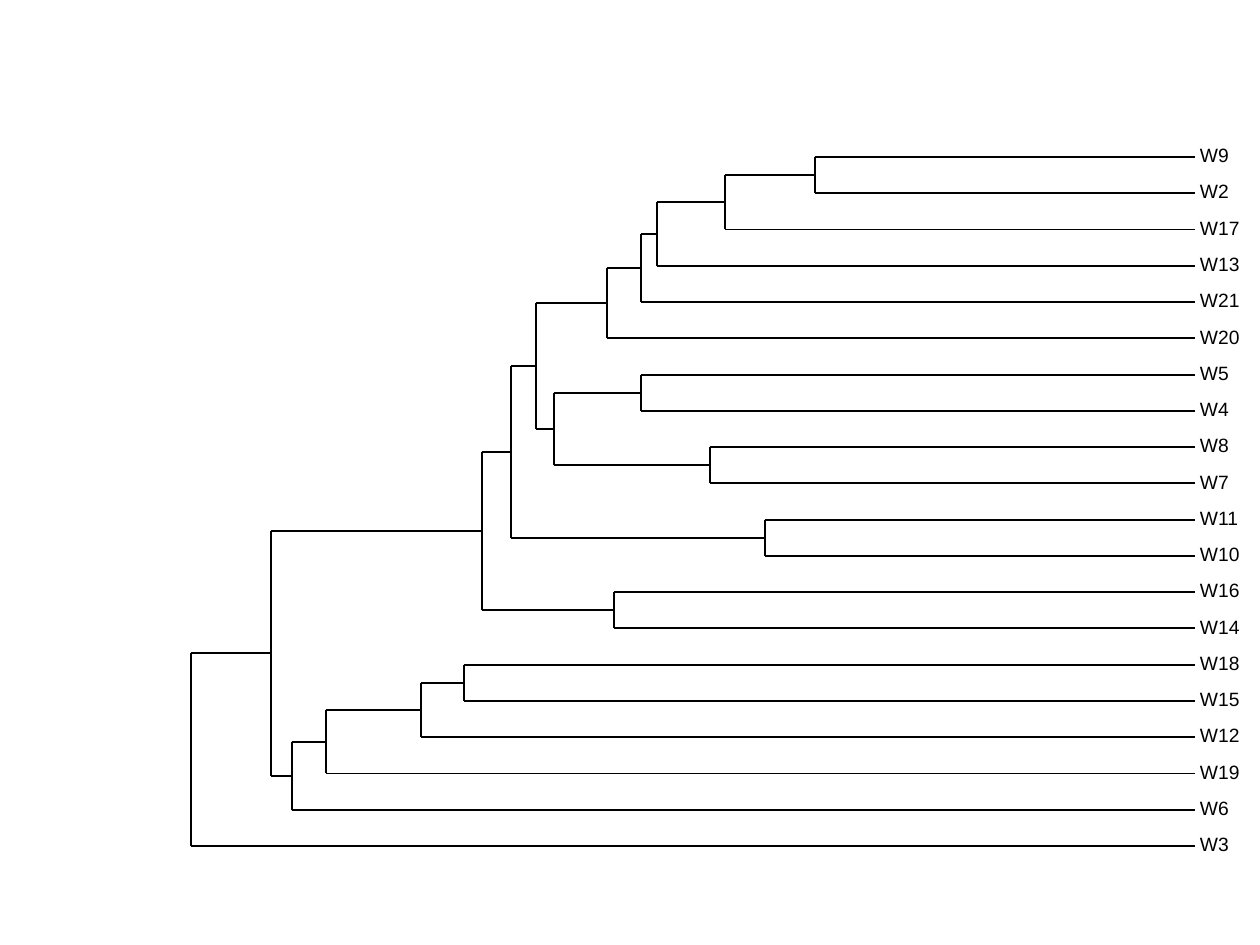
from lxml import etree
from pptx import Presentation
from pptx import util as u
from pptx.dml import color
from pptx.enum import shapes, text
from pptx.oxml import ns

SCALE = 914400 / 126  # EMU per pixel


def emu(pixels):
    return u.Emu(round(pixels * SCALE))


def rgb(hex_string):
    return color.RGBColor.from_string(hex_string)


class TreeSlide:
    INK, PAPER = "000000", "FFFFFF"
    STROKE = u.Pt(1.07)
    FRAME = dict(margin_left=0, margin_right=0, margin_top=0, margin_bottom=0,
                 word_wrap=False, vertical_anchor=text.MSO_ANCHOR.MIDDLE)
    FONT = dict(name="Arial", size=u.Pt(11))

    def __init__(self, slide):
        self.slide = slide

    def stroke(self, line, hex_string):
        line.color.rgb = rgb(hex_string)
        line.width = self.STROKE

    def panel(self, *box):
        panel = self.slide.shapes.add_shape(
            shapes.MSO_SHAPE.RECTANGLE, *map(emu, box))
        panel.shadow.inherit = False
        panel.fill.solid()
        panel.fill.fore_color.rgb = rgb(self.PAPER)
        self.stroke(panel.line, self.PAPER)

    def branch(self, x1, y1, x2, y2):
        branch = self.slide.shapes.add_connector(
            shapes.MSO_CONNECTOR.STRAIGHT, *map(emu, (x1, y1, x2, y2)))
        self.stroke(branch.line, self.INK)
        etree.SubElement(branch._element.spPr, ns.qn("a:effectLst"))

    def label(self, wording, x, y):
        width, height = (29 if len(wording) == 2 else 40), 14
        box = self.slide.shapes.add_textbox(
            *map(emu, (x, y - height / 2, width, height)))
        for name, value in self.FRAME.items():
            setattr(box.text_frame, name, value)
        paragraph = box.text_frame.paragraphs[0]
        paragraph.line_spacing = u.Pt(11)
        run = paragraph.add_run()
        run.text = wording
        for name, value in self.FONT.items():
            setattr(run.font, name, value)
        run.font.color.rgb = rgb(self.INK)


# Leaves from top to bottom, evenly spaced
LEAVES = ("W9 W2 W17 W13 W21 W20 W5 W4 W8 W7 "
          "W11 W10 W16 W14 W18 W15 W12 W19 W6 W3").split()
FIRST_Y, LAST_Y = 157, 846
LEAF_X, LABEL_X = 1195, 1200
PITCH = (LAST_Y - FIRST_Y) / (len(LEAVES) - 1)
LEAF_Y = {leaf: FIRST_Y + i * PITCH for i, leaf in enumerate(LEAVES)}

# Each fork is (x, upper child, lower child)
W9_TO_W13 = (657, (725, (815, "W9", "W2"), "W17"), "W13")
W9_TO_W20 = (607, (641, W9_TO_W13, "W21"), "W20")
W5_TO_W7 = (554, (641, "W5", "W4"), (710, "W8", "W7"))
W9_TO_W10 = (511, (536, W9_TO_W20, W5_TO_W7), (765, "W11", "W10"))
W9_TO_W14 = (482, W9_TO_W10, (614, "W16", "W14"))
W18_TO_W12 = (421, (464, "W18", "W15"), "W12")
W18_TO_W6 = (292, (326, W18_TO_W12, "W19"), "W6")
ROOT = (191, (271, W9_TO_W14, W18_TO_W6), "W3")


def position(node):
    """A fork sits midway between its two children."""
    if isinstance(node, str):
        return LEAF_X, LEAF_Y[node]
    x, upper, lower = node
    return x, (position(upper)[1] + position(lower)[1]) / 2


def draw_fork(tree, fork):
    x, y = position(fork)
    for child in fork[1:]:
        child_x, child_y = position(child)
        tree.branch(x, child_y, child_x, child_y)
        tree.branch(x, y, x, child_y)
        if not isinstance(child, str):
            draw_fork(tree, child)


deck = Presentation()
deck.slide_width, deck.slide_height = u.Inches(10), u.Inches(7.5)
tree = TreeSlide(deck.slides.add_slide(deck.slide_layouts[6]))

# Plot background
tree.panel(126, 126, 1134, 756)
tree.panel(140, 136, 1110, 732)

# Branches
draw_fork(tree, ROOT)

# Leaf labels
for leaf, leaf_y in LEAF_Y.items():
    tree.label(leaf, LABEL_X, leaf_y)

deck.save("out.pptx")
